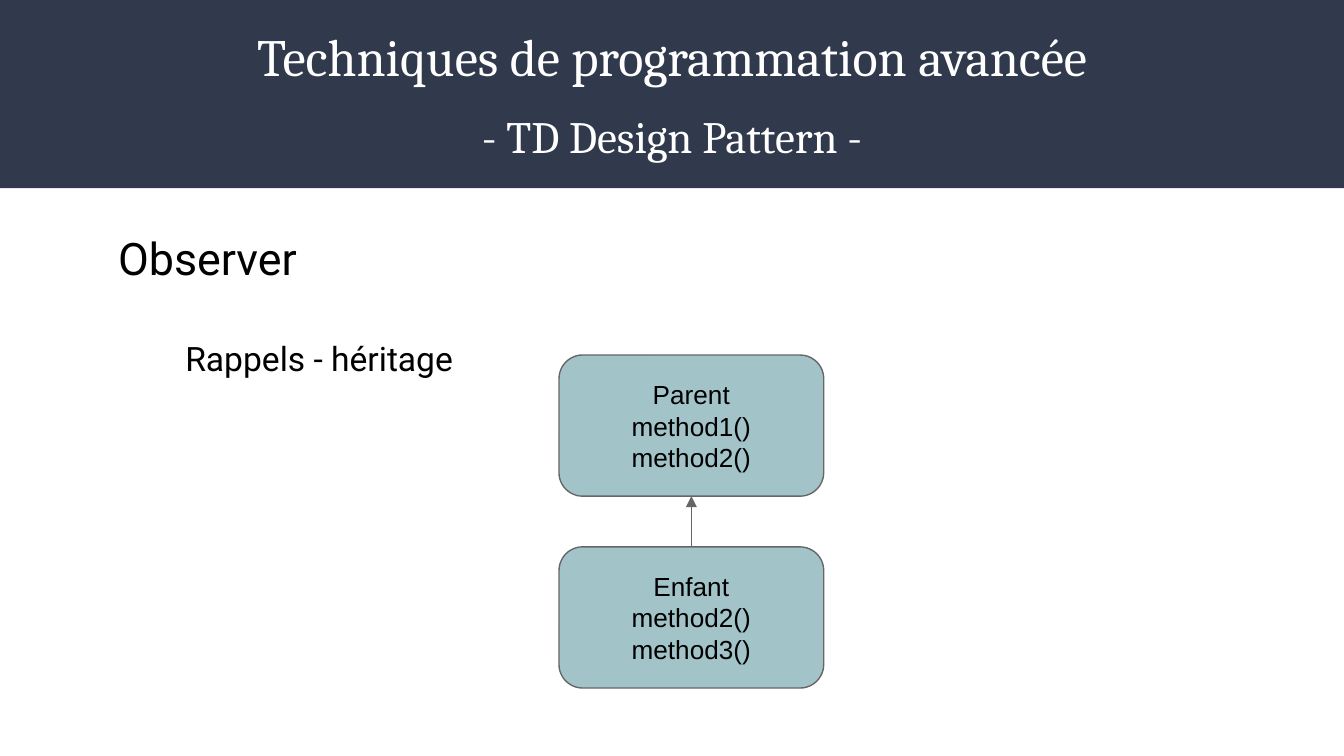
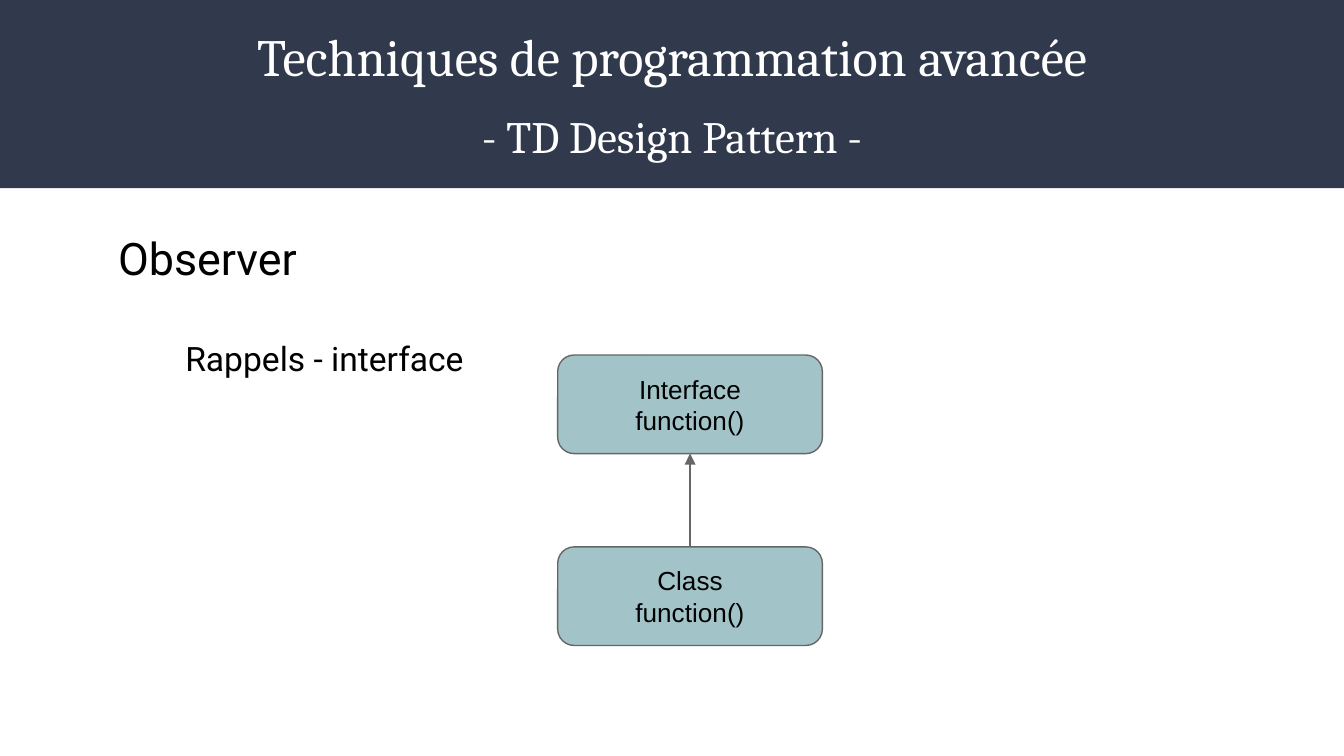
from dataclasses import dataclass

from lxml import etree
from pptx import Presentation
from pptx import util as u
from pptx.dml.color import RGBColor
from pptx.enum import shapes, text
from pptx.oxml import ns


@dataclass(frozen=True)
class Theme:
    band: str = "31394D"
    on_band: str = "FFFFFF"
    ink: str = "000000"
    box: str = "A2C4C9"
    outline: str = "666666"
    title_font: str = "Cambria"
    body_font: str = "Roboto"
    box_font: str = "Arial"
    title_size: float = 28
    subtitle_size: float = 24
    heading_size: float = 24
    body_size: float = 18
    box_size: float = 14
    line_width: float = 0.75
    inset: float = 7.2


SLIDE_WIDTH, SLIDE_HEIGHT = 720, 405
BAND_HEIGHT = 100.8
BOX_WIDTH = 141.8
PARENT_TOP, CHILD_TOP = 190.2, 293


class Slides:
    def __init__(self, theme):
        self.theme = theme
        self.deck = Presentation()
        self.deck.slide_width = u.Pt(SLIDE_WIDTH)
        self.deck.slide_height = u.Pt(SLIDE_HEIGHT)
        self.layout = self.deck.slide_layouts[5]
        self.page = None

    def new_page(self):
        self.page = self.deck.slides.add_slide(self.layout)
        if len(self.deck.slides) == 1:
            self.band()

    def band(self):
        """Put the title band on the layout, behind its placeholders."""
        band = self.shape(shapes.MSO_SHAPE.RECTANGLE,
                          (0, 0, SLIDE_WIDTH, BAND_HEIGHT), self.theme.band)
        band.line.fill.background()
        band.element.nvSpPr.cNvPr.set("id", "100")
        self.layout.shapes.element.insert(2, band.element)

    def shape(self, kind, place, colour):
        shape = self.page.shapes.add_shape(kind, *map(u.Pt, place))
        shape.shadow.inherit = False
        shape.fill.solid()
        shape.fill.fore_color.rgb = RGBColor.from_string(colour)
        return shape

    def frame(self, shape, lines):
        """Write lines with even insets, and return their paragraphs."""
        frame = shape.text_frame
        frame.text = "\n".join(lines)
        frame.word_wrap = True
        frame.auto_size = text.MSO_AUTO_SIZE.NONE
        frame.margin_left = frame.margin_right = u.Pt(self.theme.inset)
        frame.margin_top = frame.margin_bottom = u.Pt(self.theme.inset)
        return frame.paragraphs

    def format(self, para, font, size, colour, align):
        para.alignment = align
        for span in para.runs:
            span.font.name = font
            span.font.size = u.Pt(size)
            span.font.color.rgb = RGBColor.from_string(colour)

    def title(self, title, subtitle):
        theme = self.theme
        box = self.page.shapes.title
        box.left, box.top = u.Pt(0), u.Pt(0)
        box.width, box.height = u.Pt(SLIDE_WIDTH), u.Pt(100)
        paras = self.frame(box, [title, subtitle])
        box.text_frame.vertical_anchor = text.MSO_ANCHOR.MIDDLE
        for para, size in zip(paras, (theme.title_size, theme.subtitle_size)):
            self.format(para, theme.title_font, size, theme.on_band,
                        text.PP_ALIGN.CENTER)
        paras[1].space_before = u.Pt(12)

    def body(self, heading, topic):
        theme = self.theme
        box = self.page.shapes.add_textbox(*map(u.Pt, (56.2, 112.3, 640, 269.3)))
        paras = self.frame(box, [heading, topic])
        for para, size in zip(paras, (theme.heading_size, theme.body_size)):
            self.format(para, theme.body_font, size, theme.ink,
                        text.PP_ALIGN.LEFT)
            para.line_spacing = 1.15
        paras[1].space_before = u.Pt(25)
        paras[1]._p.get_or_add_pPr().set("marL", str(u.Pt(36)))

    def class_box(self, left, top, height, lines):
        theme = self.theme
        box = self.shape(shapes.MSO_SHAPE.ROUNDED_RECTANGLE,
                         (left, top, BOX_WIDTH, height), theme.box)
        self.outline(box)
        for para in self.frame(box, lines):
            self.format(para, theme.box_font, theme.box_size, theme.ink,
                        text.PP_ALIGN.CENTER)
        return box

    def outline(self, item):
        item.line.color.rgb = RGBColor.from_string(self.theme.outline)
        item.line.width = u.Pt(self.theme.line_width)

    def arrow_up(self, child, parent):
        arrow = self.page.shapes.add_connector(
            shapes.MSO_CONNECTOR.STRAIGHT, 0, 0, 0, 0)
        arrow.begin_connect(child, 0)
        arrow.end_connect(parent, 2)
        self.outline(arrow)
        etree.SubElement(arrow.line._get_or_add_ln(), ns.qn("a:tailEnd"),
                         type="triangle")
        etree.SubElement(arrow.element.spPr, ns.qn("a:effectLst"))


def main():
    slides = Slides(Theme())
    diagrams = [
        ("Rappels - héritage", 299.5, 75.6,
         ["Parent", "method1()", "method2()"],
         ["Enfant", "method2()", "method3()"]),
        ("Rappels - interface", 298.8, 52.8,
         ["Interface", "function()"],
         ["Class", "function()"]),
    ]
    for topic, left, height, parent_lines, child_lines in diagrams:
        slides.new_page()
        slides.body("Observer", topic)
        slides.title("Techniques de programmation avancée",
                     "- TD Design Pattern -")
        parent = slides.class_box(left, PARENT_TOP, height, parent_lines)
        child = slides.class_box(left, CHILD_TOP, height, child_lines)
        slides.arrow_up(child, parent)
    slides.deck.save("out.pptx")


if __name__ == "__main__":
    main()
